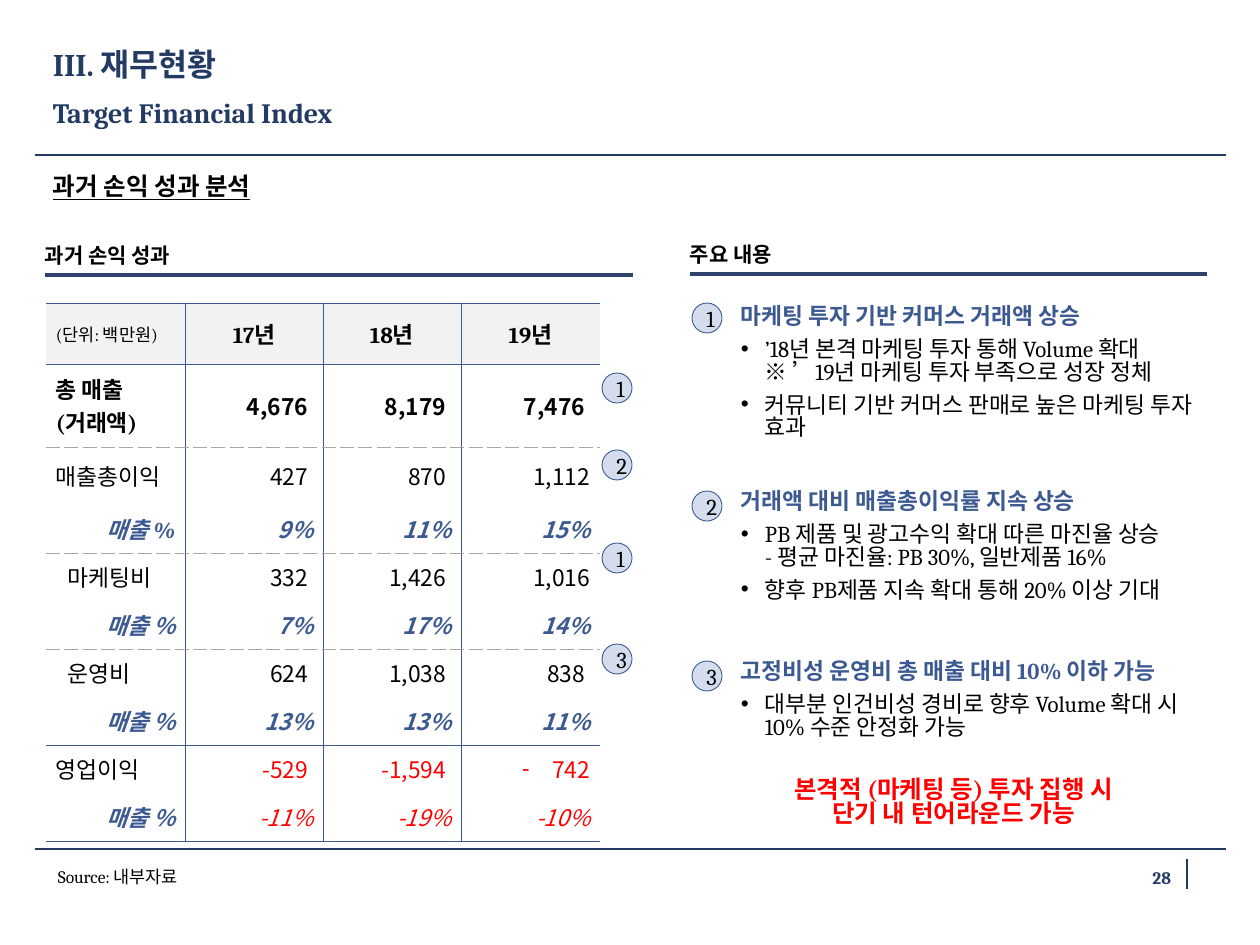
from copy import deepcopy
from lxml import etree
from pptx import Presentation
from pptx.dml.color import RGBColor
from pptx.enum.shapes import MSO_CONNECTOR, MSO_SHAPE
from pptx.enum.text import MSO_ANCHOR, PP_ALIGN
from pptx.oxml.ns import qn
from pptx.util import Pt

PX = 914400 / 126
LEFT, CENTER, RIGHT = PP_ALIGN.LEFT, PP_ALIGN.CENTER, PP_ALIGN.RIGHT
TOP, MIDDLE = MSO_ANCHOR.TOP, MSO_ANCHOR.MIDDLE
STRAIGHT, OVAL = MSO_CONNECTOR.STRAIGHT, MSO_SHAPE.OVAL
THEME = {
    "serif": "Cambria", "sans": "Noto Sans CJK KR",
    "navy": "233A63", "rule": "2D436D", "blue": "3C5A91", "badge": "D4DDED",
    "header": "F2F2F2", "dash": "A6A6A6", "red": "FF0000", "black": "000000",
    "title": 18, "subtitle": 16, "heading": 14, "label": 12, "body": 13, "small": 10,
}


def write(p, text, size="body", color="black", face="serif", bullet=None, fmt=None, **style):
    if bullet:
        char, indent = bullet
        pPr = p._p.get_or_add_pPr()
        pPr.set("marL", str(int(indent * PX)))
        pPr.set("indent", str(int(-indent * PX)))
        etree.SubElement(pPr, qn("a:buFont"), typeface="Arial")
        etree.SubElement(pPr, qn("a:buChar"), char=char)
    for name, value in (fmt or {}).items():
        setattr(p, name, value)
    p.text = text
    for r in p.runs:
        r.font.name = THEME[face]
        r.font.size = Pt(THEME[size])
        r.font.color.rgb = RGBColor.from_string(THEME[color])
        for name, value in style.items():
            setattr(r.font, name, value)
        etree.SubElement(r._r.get_or_add_rPr(), qn("a:ea"), typeface=THEME["sans"])
    for br in p._p.findall(qn("a:br")):
        br.append(deepcopy(p.runs[0]._r.rPr))


def border(cell, side, color, dash):
    ln = etree.SubElement(cell._tc.get_or_add_tcPr(), qn("a:ln" + side), w="3175")
    if color is None:
        etree.SubElement(ln, qn("a:noFill"))
        return
    fill = etree.SubElement(ln, qn("a:solidFill"))
    etree.SubElement(fill, qn("a:srgbClr"), val=THEME[color])
    etree.SubElement(ln, qn("a:prstDash"), val=dash)


prs = Presentation()
prs.slide_width, prs.slide_height = int(1260 * PX), int(945 * PX)
s = prs.slides.add_slide(prs.slide_layouts[6])

RULES = [
    (35, 155, 1226, 155, "navy", 1),
    (1187, 889, 1187, 859, "navy", 1),
    (35, 849, 1226, 849, "navy", 1),
    (45, 275, 633, 275, "rule", 2.25),
    (690, 274, 1207, 274, "rule", 2.25),
]
for x1, y1, x2, y2, color, width in RULES:
    c = s.shapes.add_connector(STRAIGHT, *(int(v * PX) for v in (x1, y1, x2, y2)))
    c.line.color.rgb = RGBColor.from_string(THEME[color])
    c.line.width = Pt(width)
    etree.SubElement(c._element.spPr, qn("a:effectLst"))

HEAD = {"size": "body", "color": "blue", "bold": True}
ITEM = {"bullet": ("•", 24)}
TIGHT = {"line_spacing": 0.83, "space_after": Pt(6)}
PLAIN, INSET = (0, 0), (10, 5)
TEXTS = [
    (1086, 859, 98, 37, MIDDLE, (13, 6), {"alignment": RIGHT},
     [("28", {"size": "small", "color": "navy", "bold": True})]),
    (53, 45, 897, 45, TOP, PLAIN, {},
     [("III. 재무현황", {"size": "title", "color": "navy", "bold": True})]),
    (53, 96, 897, 54, TOP, PLAIN, {},
     [("Target Financial Index", {"size": "subtitle", "color": "navy", "bold": True})]),
    (53, 171, 1153, 86, TOP, PLAIN, {},
     [("과거 손익 성과 분석", {"size": "heading", "bold": True, "underline": True})]),
    (45, 236, 547, 39, MIDDLE, PLAIN, {}, [("과거 손익 성과", {"size": "label", "bold": True})]),
    (690, 235, 481, 39, MIDDLE, PLAIN, {}, [("주요 내용", {"size": "label", "bold": True})]),
    (731, 301, 476, 173, TOP, INSET, TIGHT,
     [("마케팅 투자 기반 커머스 거래액 상승", HEAD),
      ("’18년 본격 마케팅 투자 통해 Volume 확대\n※ ’19년 마케팅 투자 부족으로 성장 정체", ITEM),
      ("커뮤니티 기반 커머스 판매로 높은 마케팅 투자 효과", ITEM)]),
    (731, 486, 476, 155, TOP, INSET, TIGHT,
     [("거래액 대비 매출총이익률 지속 상승", HEAD),
      ("PB 제품 및 광고수익 확대 따른 마진율 상승\n- 평균 마진율: PB 30%, 일반제품 16%", ITEM),
      ("향후 PB제품 지속 확대 통해 20% 이상 기대", ITEM)]),
    (731, 656, 476, 118, TOP, INSET, TIGHT,
     [("고정비성 운영비 총 매출 대비 10% 이하 가능", HEAD),
      ("대부분 인건비성 경비로 향후 Volume 확대 시 10% 수준 안정화 가능", ITEM)]),
    (692, 774, 523, 66, TOP, INSET, {**TIGHT, "alignment": CENTER},
     [("본격적 (마케팅 등) 투자 집행 시\n단기 내 턴어라운드 가능",
       {"size": "heading", "color": "red", "bold": True})]),
    (58, 866, 838, 37, TOP, PLAIN, {}, [("Source: 내부자료", {"size": "small"})]),
]
for x, y, w, h, anchor, (mx, my), fmt, paragraphs in TEXTS:
    tf = s.shapes.add_textbox(*(int(v * PX) for v in (x, y, w, h))).text_frame
    tf.word_wrap = True
    tf.vertical_anchor = anchor
    tf.margin_left = tf.margin_right = int(mx * PX)
    tf.margin_top = tf.margin_bottom = int(my * PX)
    for i, (text, style) in enumerate(paragraphs):
        p = tf.add_paragraph() if i else tf.paragraphs[0]
        write(p, text, fmt=fmt, **style)

ROWS = [
    ("(단위: 백만원)", "17년", "18년", "19년"),
    ("총 매출\n(거래액)", "4,676 ", "8,179 ", "7,476 "),
    ("매출총이익", "427 ", "870 ", "1,112"),
    ("매출 %", "9%", "11%", "15%"),
    ("마케팅비", "332 ", "1,426 ", "1,016"),
    ("매출 %", "7%", "17%", "14%"),
    ("운영비", "624 ", "1,038 ", "838 "),
    ("매출 %", "13%", "13%", "11%"),
    ("영업이익", "-529 ", "-1,594 ", "742"),
    ("매출 %", "-11%", "-19%", "-10%"),
]
HEIGHTS = [61, 83, 58] + [48] * 7
WIDTHS = [139, 138, 138, 139]
SOLID, DASHED, NONE = ("blue", "solid"), ("dash", "sysDash"), (None, None)
EDGES = [SOLID, SOLID, DASHED, NONE, DASHED, NONE, DASHED, NONE, SOLID, NONE, SOLID]
frame = s.shapes.add_table(len(ROWS), 4, *(int(v * PX) for v in (46, 303, sum(WIDTHS), sum(HEIGHTS))))
table = frame.table
table.first_row = table.horz_banding = False
for column, width in zip(table.columns, WIDTHS):
    column.width = int(width * PX)
for i, (row, height) in enumerate(zip(ROWS, HEIGHTS)):
    table.rows[i].height = int(height * PX)
    ratio = row[0] == "매출 %"
    for j, text in enumerate(row):
        cell = table.cell(i, j)
        indent = 12 if text in ("마케팅비", "운영비") else 0
        cell.margin_left, cell.margin_right = int((10 + indent) * PX), int(10 * PX)
        cell.margin_top = cell.margin_bottom = int(5 * PX)
        cell.vertical_anchor = MIDDLE
        for side, edge in zip("LRTB", (SOLID if j else NONE, SOLID if j < 3 else NONE, EDGES[i], EDGES[i + 1])):
            border(cell, side, *edge)
        if i == 0:
            cell.fill.solid()
            cell.fill.fore_color.rgb = RGBColor.from_string(THEME["header"])
        else:
            cell.fill.background()
        loss = i >= 8 and j > 0
        if i == 0:
            align = CENTER if j else LEFT
        else:
            align = RIGHT if j or ratio else LEFT
        write(cell.text_frame.paragraphs[0], text,
              size="small" if i == j == 0 else "body",
              color="red" if loss else "blue" if ratio else "black",
              face="sans" if i and j or ratio and i > 3 else "serif",
              bullet=("-", 30) if text == "742" else None,
              fmt={"alignment": align},
              bold=(i == 0 and j > 0) or i == 1 or (ratio and not loss), italic=ratio)

BADGES = [(602, 373, "1"), (602, 543, "1"), (602, 450, "2"), (602, 644, "3"),
          (692, 303, "1"), (692, 491, "2"), (692, 661, "3")]
for x, y, number in BADGES:
    sp = s.shapes.add_shape(OVAL, *(int(v * PX) for v in (x, y, 30, 30)))
    sp.shadow.inherit = False
    sp.fill.solid()
    sp.fill.fore_color.rgb = RGBColor.from_string(THEME["badge"])
    sp.line.color.rgb = RGBColor.from_string(THEME["blue"])
    sp.line.width = Pt(0.5)
    tf = sp.text_frame
    tf.vertical_anchor = MIDDLE
    for side in ("left", "right", "top", "bottom"):
        setattr(tf, "margin_" + side, int(10 * PX))
    write(tf.paragraphs[0], number, fmt={"alignment": CENTER})

prs.save("out.pptx")
